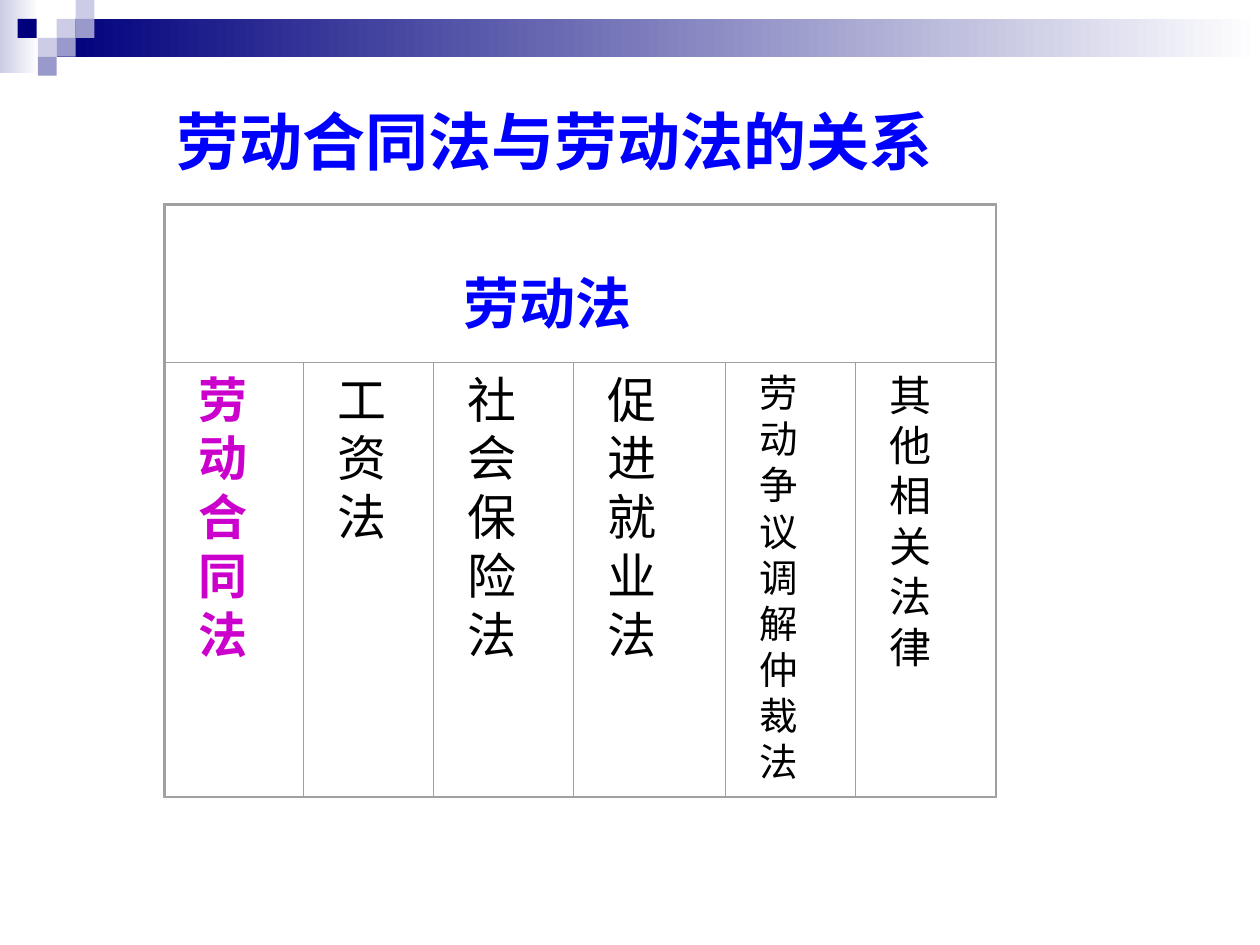
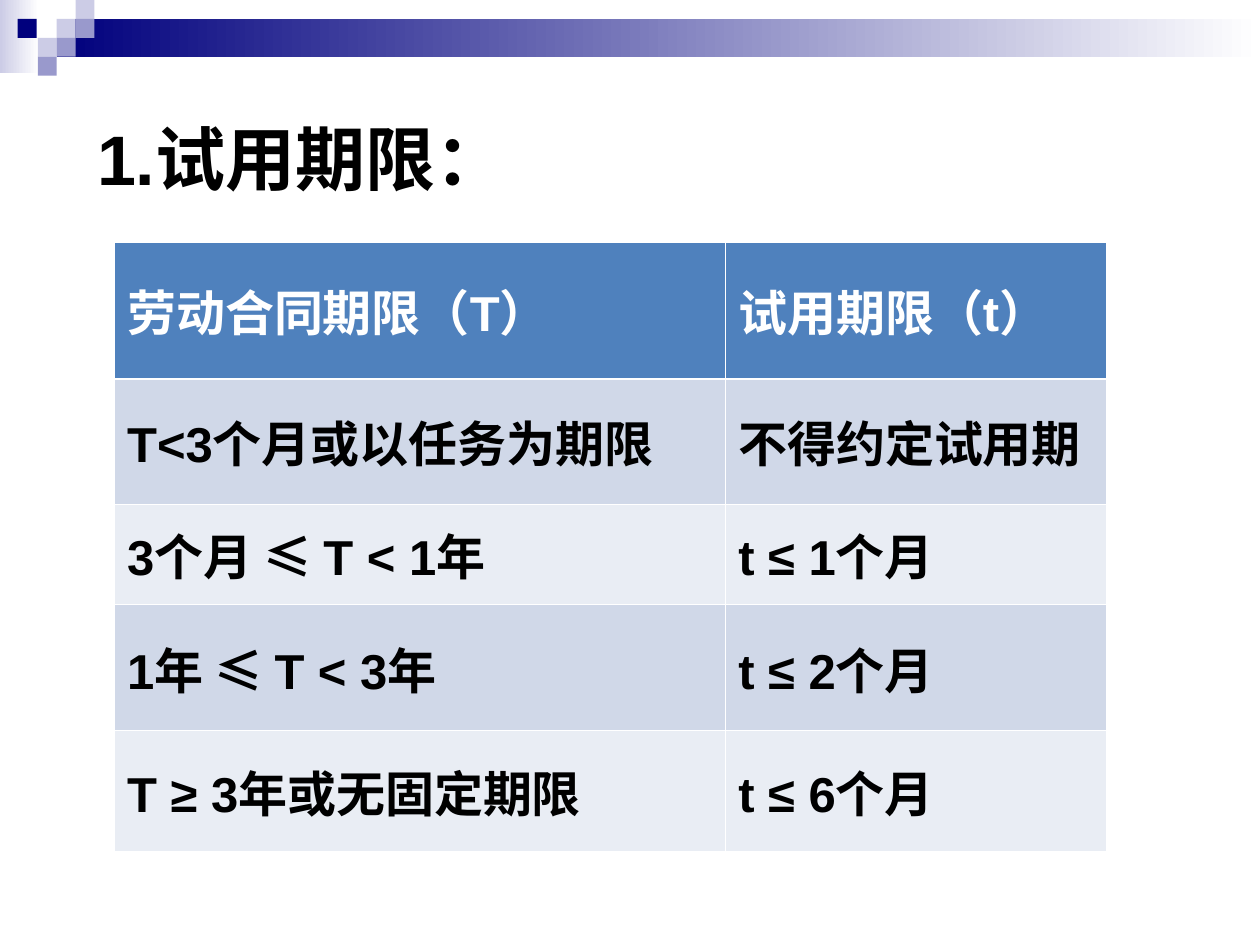
from lxml import etree
from pptx import Presentation
from pptx.dml.color import RGBColor
from pptx.enum.lang import MSO_LANGUAGE_ID
from pptx.enum.shapes import MSO_SHAPE
from pptx.enum.text import MSO_ANCHOR, PP_ALIGN
from pptx.oxml.ns import qn
from pptx.util import Inches, Pt

RECTANGLE = MSO_SHAPE.RECTANGLE
MIDDLE = MSO_ANCHOR.MIDDLE
LEFT, JUSTIFY = PP_ALIGN.LEFT, PP_ALIGN.JUSTIFY
CHINESE = MSO_LANGUAGE_ID.SIMPLIFIED_CHINESE
TITLE_ONLY = 5

COLORS = {
    "navy": "00007D", "lilac": "CCCCE6", "violet": "9999CC",
    "white": "FFFFFF", "black": "000000", "blue": "0000FF",
    "magenta": "CC00CC", "grid": "A0A0A0",
    "header": "4F81BD", "odd_row": "D0D8E8", "even_row": "E9EDF4",
}
SANS, SERIF, CJK = "Arial", "Times New Roman", "Noto Sans CJK SC"


def rgb(name):
    return RGBColor.from_string(COLORS[name])


class Deck:
    """Holds the shared style and the current slide."""

    def __init__(self):
        self.deck = Presentation()
        self.deck.slide_width, self.deck.slide_height = Inches(10), Inches(7.5)
        self.page = None

    def add_page(self):
        self.page = self.deck.slides.add_slide(self.deck.slide_layouts[TITLE_ONLY])

    def add_master_band(self):
        """Draw the top band once and move it to the slide master."""
        band = self.page.shapes.add_group_shape()
        self.rectangle(0, 0, 0.31, 0.58, ("lilac", "white"), parent=band)
        self.rectangle(0.45, 0.15, 9.55, 0.3, ("navy", "white"), parent=band)
        squares = [
            (0.45, 0.15, "lilac"), (0.6, 0, "lilac"), (0.6, 0.15, "violet"),
            (0.3, 0.3, "lilac"), (0.14, 0.15, "navy"),
            (0.45, 0.3, "violet"), (0.3, 0.45, "violet"),
        ]
        for left, top, color in squares:
            self.rectangle(left, top, 0.15, 0.15, (color,), parent=band)
        self.deck.slide_master.shapes.element.insert(2, band.element)

    def rectangle(self, left, top, width, height, fill=(), line_width=None, parent=None):
        """One fill colour is solid, two make a gradient, none leaves it open."""
        shapes = (parent or self.page).shapes
        box = shapes.add_shape(RECTANGLE, Inches(left), Inches(top),
                               Inches(width), Inches(height))
        box.shadow.inherit = False
        if len(fill) == 2:
            box.fill.gradient()
            box.fill.gradient_angle = 0
            for stop, color in zip(box.fill.gradient_stops, fill):
                stop.color.rgb = rgb(color)
        elif fill:
            box.fill.solid()
            box.fill.fore_color.rgb = rgb(fill[0])
        else:
            box.fill.background()
        if line_width is None:
            box.line.fill.background()
        else:
            box.line.color.rgb = rgb("grid")
            box.line.width = Pt(line_width)
        return box

    def format_text(self, frame, size, color, font, bold=False, align=LEFT):
        for para in frame.paragraphs:
            para.alignment = align
            for span in para.runs:
                span.font.size = Pt(size)
                span.font.bold = bold
                span.font.name = font
                span.font.color.rgb = rgb(color)
                span.font.language_id = CHINESE

    def title(self, text, left, top, width, height, size, color, font):
        box = self.page.shapes.title
        box.left, box.top = Inches(left), Inches(top)
        box.width, box.height = Inches(width), Inches(height)
        frame = box.text_frame
        frame.text = text
        frame.word_wrap = True
        frame.vertical_anchor = MIDDLE
        self.format_text(frame, size, color, font, bold=True)

    def framed_text(self, text, left, top, width, height, size, color="black", bold=False):
        """A text box set 0.17 inside a hairline frame."""
        gap = 0.17
        box = self.page.shapes.add_textbox(Inches(left + gap), Inches(top),
                                           Inches(width - 2 * gap), Inches(height))
        frame = box.text_frame
        frame.word_wrap = True
        frame.text = text
        self.format_text(frame, size, color, SERIF, bold, JUSTIFY)
        self.rectangle(left, top, width, height, line_width=0)
        return frame

    def cell_border(self, cell, side, width):
        properties = cell._tc.get_or_add_tcPr()
        line = etree.SubElement(properties, qn(f"a:{side}"), w=str(Pt(width)))
        fill = etree.SubElement(line, qn("a:solidFill"))
        etree.SubElement(fill, qn("a:srgbClr"), val=COLORS["white"])

    def table(self, rows, left, top, widths, heights):
        table = self.page.shapes.add_table(
            len(rows), len(widths), Inches(left), Inches(top),
            Inches(sum(widths)), Inches(sum(heights))).table
        for column, width in zip(table.columns, widths):
            column.width = Inches(width)
        for index, (texts, height) in enumerate(zip(rows, heights)):
            table.rows[index].height = Inches(height)
            fill = "header" if index == 0 else "odd_row" if index % 2 else "even_row"
            thick = {0: "lnB", 1: "lnT"}.get(index)
            for column, text in enumerate(texts):
                cell = table.cell(index, column)
                cell.text = text
                cell.vertical_anchor = MIDDLE
                self.format_text(cell.text_frame, 28, "black" if index else "white",
                                 SANS, bold=True)
                for side in ("lnL", "lnR", "lnT", "lnB"):
                    self.cell_border(cell, side, 1.47 if side == thick else 0.45)
                cell.fill.solid()
                cell.fill.fore_color.rgb = rgb(fill)


def build_law_relations(deck):
    deck.add_page()
    deck.add_master_band()
    deck.title("劳动合同法与劳动法的关系", 1.3, 0.76, 6.77, 0.7, 36, "blue", CJK)

    # Parent law across the top
    left, top, head_height, law_height = 1.31, 1.63, 1.25, 3.44
    head = deck.framed_text("劳动法", left, top, 6.59, head_height, 32, "blue", True)
    head.margin_left, head.margin_top = Inches(2.2), Inches(0.5)

    # One column for each law below it
    laws = [
        ("劳动合同法", 1.1, 28, "magenta", True),
        ("工资法", 1.03, 28),
        ("社会保险法", 1.11, 28),
        ("促\n进\n就\n业\n法", 1.21, 28),
        ("劳动争议调解仲裁法", 1.03, 22),
        ("其他相关法律", 1.11, 24),
    ]
    column_left = left
    for name, width, *style in laws:
        deck.framed_text(name, column_left, top + head_height, width, law_height, *style)
        column_left += width

    # Outer frame
    deck.rectangle(1.3, 1.62, 6.61, 4.71, line_width=0.75)


def build_trial_period(deck):
    deck.add_page()
    deck.title("1.试用期限：", 0.67, 0.5, 8.83, 1.5, 40, "black", SANS)
    rows = [
        ("劳动合同期限（T）", "试用期限（t）"),
        ("T<3个月或以任务为期限", "不得约定试用期"),
        ("3个月 ≤ T < 1年", "t ≤ 1个月"),
        ("1年 ≤ T < 3年", "t ≤ 2个月"),
        ("T ≥ 3年或无固定期限", "t ≤ 6个月"),
    ]
    deck.table(rows, 0.91, 1.92, (4.85, 3.02), (1.09, 0.99, 0.8, 1, 0.96))


def main():
    deck = Deck()
    build_law_relations(deck)
    build_trial_period(deck)
    deck.deck.save("out.pptx")


if __name__ == "__main__":
    main()
